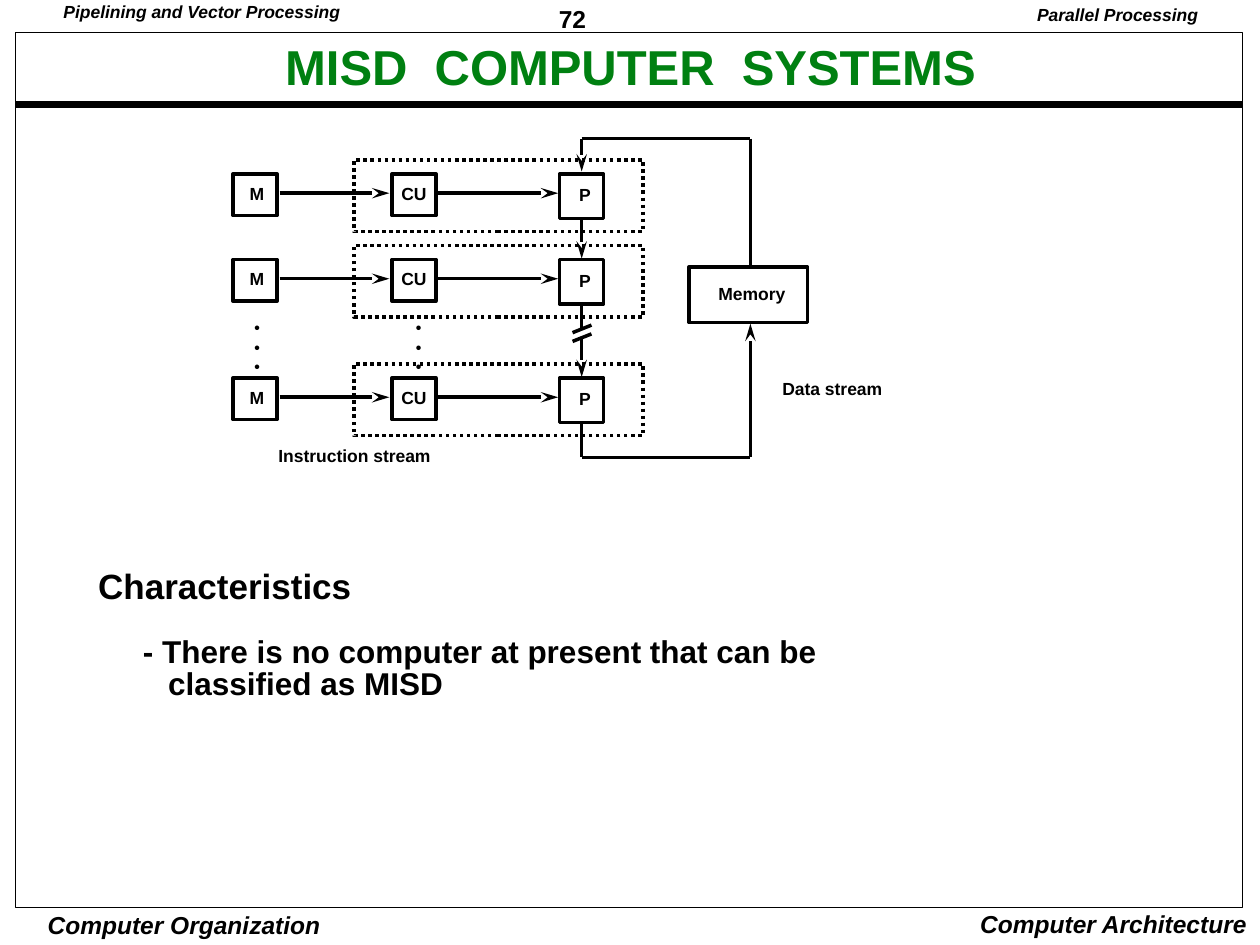
from dataclasses import dataclass

from lxml.etree import SubElement
from pptx import Presentation
from pptx.dml.color import RGBColor
from pptx.enum.dml import MSO_LINE
from pptx.enum.shapes import MSO_CONNECTOR, MSO_SHAPE
from pptx.enum.text import MSO_ANCHOR, PP_ALIGN
from pptx.oxml.ns import qn
from pptx.util import Pt


@dataclass(frozen=True)
class Theme:
    font: str = "Arial"
    ink: RGBColor = RGBColor(0, 0, 0)
    paper: RGBColor = RGBColor(255, 255, 255)
    title_ink: RGBColor = RGBColor(0x00, 0x80, 0x11)
    title: int = 28
    heading: int = 20
    body: int = 18
    footer: int = 14
    label: int = 10
    dots: int = 9
    line: float = 2
    rule: float = 4.5
    frame: float = 0.5


THEME = Theme()
NARROW = (5, 2.2, 5, 2.2)
WIDE = (7.2, 3.6, 7.2, 3.6)


def set_all(obj, values):
    for name, value in values.items():
        setattr(obj, name, value)


def write(tf, lines, size, color=THEME.ink, italic=False, inset=NARROW,
          wrap=False, anchor=MSO_ANCHOR.TOP, **para):
    sides = ("margin_left", "margin_top", "margin_right", "margin_bottom")
    set_all(tf, dict(zip(sides, map(Pt, inset))))
    set_all(tf, {"word_wrap": wrap, "vertical_anchor": anchor})
    for i, line in enumerate(lines):
        p = tf.add_paragraph() if i else tf.paragraphs[0]
        set_all(p, {"alignment": PP_ALIGN.LEFT, "line_spacing": 0.9, **para})
        r = p.add_run()
        r.text = line
        set_all(r.font, {"name": THEME.font, "size": Pt(size),
                         "bold": True, "italic": italic})
        r.font.color.rgb = color


def add_text(s, box, lines, size, **style):
    tf = s.shapes.add_textbox(*map(Pt, box)).text_frame
    write(tf, lines, size, **style)
    return tf


def add_box(s, box, label="", shift=0, width=THEME.line, dash=None):
    sp = s.shapes.add_shape(MSO_SHAPE.RECTANGLE, *map(Pt, box))
    sp.shadow.inherit = False
    sp.fill.background()
    sp.line.color.rgb = THEME.ink
    set_all(sp.line, {"width": Pt(width), "dash_style": dash})
    if label:
        write(sp.text_frame, [label], THEME.label, inset=(shift, 0, 0, 0),
              anchor=MSO_ANCHOR.MIDDLE, alignment=PP_ALIGN.CENTER)


def add_line(s, start, end, arrow=False, color=THEME.ink, width=THEME.line):
    c = s.shapes.add_connector(MSO_CONNECTOR.STRAIGHT, *map(Pt, (*start, *end)))
    c.line.color.rgb = color
    c.line.width = Pt(width)
    if arrow:
        SubElement(c.line._get_or_add_ln(), qn("a:tailEnd"),
                   type="stealth", w="med", len="lg")
    SubElement(c._element.spPr, qn("a:effectLst"))


def page_frame(s, box):
    x, y, w, h = box
    bottom = y + h
    add_text(s, (x + 305.3, 0, 77.8, 20.9), ["72"], THEME.footer, line_spacing=1.01)
    add_text(s, (x + 6.2, bottom, 180, 18.7), ["Computer Organization"],
             THEME.footer, italic=True, inset=(2.2, 1.7, 2.2, 0.7),
             alignment=PP_ALIGN.CENTER, line_spacing=1.0)
    add_text(s, (x + 543.6, bottom - 2.2, 167, 23.8), ["Computer Architecture"],
             THEME.footer, italic=True, inset=WIDE,
             alignment=PP_ALIGN.RIGHT, line_spacing=1.0)
    add_line(s, (x, y + 41), (x + w, y + 41), width=THEME.rule)
    add_box(s, box, width=THEME.frame)
    add_text(s, (x + 30.9, y - 6.5, 640.8, 54.7), ["MISD  COMPUTER  SYSTEMS"],
             THEME.title, color=THEME.title_ink, inset=WIDE, wrap=True,
             anchor=MSO_ANCHOR.MIDDLE, alignment=PP_ALIGN.CENTER)
    add_text(s, (x + 576, 0, 106.6, 18), ["Parallel Processing"],
             THEME.label, italic=True, inset=WIDE, alignment=PP_ALIGN.RIGHT)
    add_text(s, (x + 22.3, 0, 168.5, 15.1), ["Pipelining and Vector Processing"],
             THEME.label, italic=True)


def processor_row(s, x, y):
    for label, dx, h, shift in (("M", 0, 23.8, 2), ("CU", 90.7, 23.8, 0),
                                ("P", 186.5, 25.5, 4)):
        add_box(s, (x + dx, y, 25.2, h), label, shift)
    add_box(s, (x + 69.1, y - 8, 165, 41), dash=MSO_LINE.ROUND_DOT)
    for start, end in ((26.6, 89.3), (116.6, 185.8)):
        add_line(s, (x + start, y + 11), (x + end, y + 11), arrow=True)


def misd_diagram(s, box):
    x, y, w, h = box
    rows = [y + dy for dy in (20.2, 69.1, 136.8)]
    for top in rows:
        processor_row(s, x, top)

    data_x = x + 199.2
    for top, below in zip(rows, rows[1:]):
        add_line(s, (data_x, top + 25.8), (data_x, below - 0.5), arrow=True)
    add_line(s, (data_x, y + 109.4), (data_x, y + 114.5), color=THEME.paper)
    for dy in (106.6, 111.6):
        add_line(s, (data_x + 5.6, y + dy), (data_x - 5.2, y + dy + 4.3))
    for dx in (7.2, 99.4):
        add_text(s, (x + dx, y + 100.1, 13, 37.4), ["•"] * 3,
                 THEME.dots, line_spacing=1.02)

    memory = (x + 260.6, y + 73.4, 67.7, 31.7)
    loop_x, bottom = x + 295.6, y + h
    add_line(s, (data_x, y), (data_x, rows[0] - 1.4), arrow=True)
    add_line(s, (data_x, y), (loop_x, y))
    add_line(s, (loop_x, y), (loop_x, memory[1]))
    add_line(s, (data_x, rows[-1] + 25.8), (data_x, bottom))
    add_line(s, (data_x, bottom), (loop_x, bottom))
    add_line(s, (loop_x, bottom), (loop_x, memory[1] + 32.4), arrow=True)
    add_box(s, memory, "Memory", 4)
    add_text(s, (x + 20.9, y + 174.2, 97.2, 15.1), ["Instruction stream"], THEME.label)
    add_text(s, (x + 308.9, y + 136.1, 67, 15.1), ["Data stream"], THEME.label)


def characteristics(s, box):
    tf = add_text(s, box, ["Characteristics"], THEME.heading,
                  wrap=True, line_spacing=0.85)
    p = tf.add_paragraph()
    p._p.get_or_add_pPr().set("marL", str(Pt(40)))
    p._p.get_or_add_pPr().set("indent", str(Pt(-14.4)))
    set_all(p, {"line_spacing": 0.85, "space_before": Pt(18)})
    r = p.add_run()
    r.text = "- There is no computer at present that can be classified as MISD"
    set_all(r.font, {"name": THEME.font, "size": Pt(THEME.body), "bold": True})
    r.font.color.rgb = THEME.ink


def main():
    prs = Presentation()
    set_all(prs, {"slide_width": Pt(720), "slide_height": Pt(540)})
    s = prs.slides.add_slide(prs.slide_layouts[6])
    page_frame(s, (9, 18.7, 701.3, 499.7))
    misd_diagram(s, (133.2, 79.2, 376, 182.2))
    characteristics(s, (51.1, 324, 432, 79.2))
    prs.save("out.pptx")


if __name__ == "__main__":
    main()
